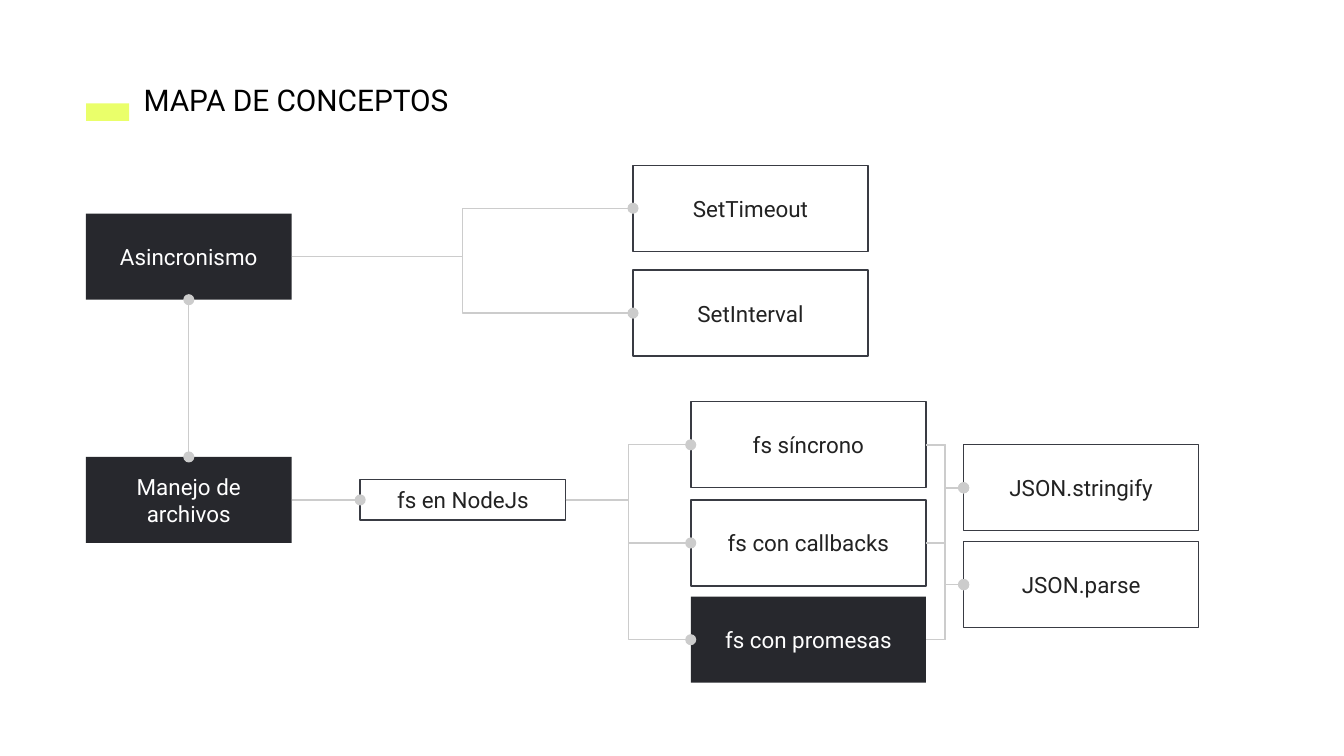
from dataclasses import dataclass
from itertools import product
from typing import Optional

from pptx import Presentation
from pptx.dml.color import RGBColor
from pptx.enum.shapes import MSO_CONNECTOR, MSO_SHAPE
from pptx.enum.text import MSO_ANCHOR, MSO_AUTO_SIZE, PP_ALIGN
from pptx.oxml.ns import qn
from pptx.oxml.xmlchemy import OxmlElement
from pptx.shapes.autoshape import Shape
from pptx.slide import Slide
from pptx.util import Inches, Pt

TOP, LEFT, BOTTOM, RIGHT = range(4)


@dataclass(frozen=True)
class Theme:
    font: str = "Roboto"
    title_size: float = 16
    label_size: float = 12
    line_width: float = 0.75
    inset: float = 0.1
    accent: str = "EAFF6A"
    title: str = "000000"
    dark: str = "27282D"
    white: str = "FFFFFF"
    outline: str = "393B43"
    label: str = "222222"
    link: str = "CCCCCC"


THEME = Theme()


@dataclass(frozen=True)
class BoxStyle:
    fill: Optional[str]
    line: Optional[str]
    text: str


DARK = BoxStyle(THEME.dark, None, THEME.white)
OUTLINED = BoxStyle(None, THEME.outline, THEME.label)
WHITE = BoxStyle(THEME.white, THEME.outline, THEME.label)
ACCENT = BoxStyle(THEME.accent, None, THEME.label)


@dataclass(frozen=True)
class Concept:
    text: str
    left: float
    top: float
    style: BoxStyle = OUTLINED
    width: float = 1.75
    height: float = 0.64


TOPIC_WIDTH = 1.53
CONCEPTS = [
    Concept("Manejo de archivos", 0.64, 3.4, DARK, TOPIC_WIDTH),
    Concept("SetInterval", 4.71, 2.01),
    Concept("Asincronismo", 0.64, 1.59, DARK, TOPIC_WIDTH),
    Concept("fs en NodeJs", 2.68, 3.57, WHITE, TOPIC_WIDTH, 0.3),
    Concept("SetTimeout", 4.71, 1.23),
    Concept("fs con callbacks", 5.14, 3.72),
    Concept("fs con promesas", 5.14, 4.44, DARK),
    Concept("fs síncrono", 5.14, 2.99),
    Concept("JSON.stringify", 7.17, 3.31),
    Concept("JSON.parse", 7.17, 4.03),
]
FS_MODES = ["fs síncrono", "fs con callbacks", "fs con promesas"]
BRANCHES = [
    *product(["Asincronismo"], ["SetTimeout", "SetInterval"]),
    *product(["fs en NodeJs"], FS_MODES),
    *product(FS_MODES, ["JSON.stringify", "JSON.parse"]),
]


def write_text(box: Shape, text: str, size: float, color: str,
               align: PP_ALIGN, anchor: MSO_ANCHOR) -> None:
    frame = box.text_frame
    margins = {f"margin_{side}": Inches(THEME.inset)
               for side in ("left", "top", "right", "bottom")}
    for name, value in {"word_wrap": True, "vertical_anchor": anchor, **margins}.items():
        setattr(frame, name, value)
    para = frame.paragraphs[0]
    para.alignment = align
    span = para.add_run()
    span.text = text
    for name, value in {"name": THEME.font, "size": Pt(size)}.items():
        setattr(span.font, name, value)
    span.font.color.rgb = RGBColor.from_string(color)


def add_box(page: Slide, left: float, top: float, width: float, height: float,
            style: BoxStyle) -> Shape:
    box = page.shapes.add_shape(MSO_SHAPE.RECTANGLE, Inches(left), Inches(top),
                                Inches(width), Inches(height))
    box.shadow.inherit = False
    if style.fill:
        box.fill.solid()
        box.fill.fore_color.rgb = RGBColor.from_string(style.fill)
    else:
        box.fill.background()
    if style.line:
        box.line.color.rgb = RGBColor.from_string(style.line)
        box.line.width = Pt(THEME.line_width)
    else:
        box.line.fill.background()
    return box


def add_concept(page: Slide, concept: Concept) -> Shape:
    box = add_box(page, concept.left, concept.top, concept.width, concept.height,
                  concept.style)
    write_text(box, concept.text, THEME.label_size, concept.style.text,
               PP_ALIGN.CENTER, MSO_ANCHOR.MIDDLE)
    return box


def add_title(page: Slide, text: str) -> None:
    box = page.shapes.add_textbox(Inches(0.97), Inches(0.51), Inches(2.69), Inches(0.47))
    write_text(box, text, THEME.title_size, THEME.title, PP_ALIGN.LEFT, MSO_ANCHOR.TOP)
    box.text_frame.auto_size = MSO_AUTO_SIZE.SHAPE_TO_FIT_TEXT


def link(page: Slide, source: Shape, target: Shape,
         kind: MSO_CONNECTOR = MSO_CONNECTOR.ELBOW, sides: tuple[int, int] = (RIGHT, LEFT),
         dots: tuple[str, ...] = ("tailEnd",)) -> None:
    """Join two boxes; dots names the line ends that carry an oval."""
    connector = page.shapes.add_connector(kind, 0, 0, 0, 0)
    connector.begin_connect(source, sides[0])
    connector.end_connect(target, sides[1])
    connector.line.color.rgb = RGBColor.from_string(THEME.link)
    connector.line.width = Pt(THEME.line_width)
    properties = connector._element.spPr
    for dot in dots:
        end = OxmlElement(f"a:{dot}")
        end.set("type", "oval")
        properties.find(qn("a:ln")).append(end)
    properties.append(OxmlElement("a:effectLst"))


def main() -> None:
    deck = Presentation()
    deck.slide_width = Inches(10)
    deck.slide_height = deck.slide_width * 9 // 16
    page = deck.slides.add_slide(deck.slide_layouts[6])

    add_box(page, 0.64, 0.77, 0.32, 0.13, ACCENT)
    add_title(page, "MAPA DE CONCEPTOS")
    boxes = {concept.text: add_concept(page, concept) for concept in CONCEPTS}

    files = boxes["Manejo de archivos"]
    link(page, files, boxes["Asincronismo"], MSO_CONNECTOR.STRAIGHT, (TOP, BOTTOM),
         ("headEnd", "tailEnd"))
    link(page, files, boxes["fs en NodeJs"], MSO_CONNECTOR.STRAIGHT)
    for source, target in BRANCHES:
        link(page, boxes[source], boxes[target])

    deck.save("out.pptx")


if __name__ == "__main__":
    main()
